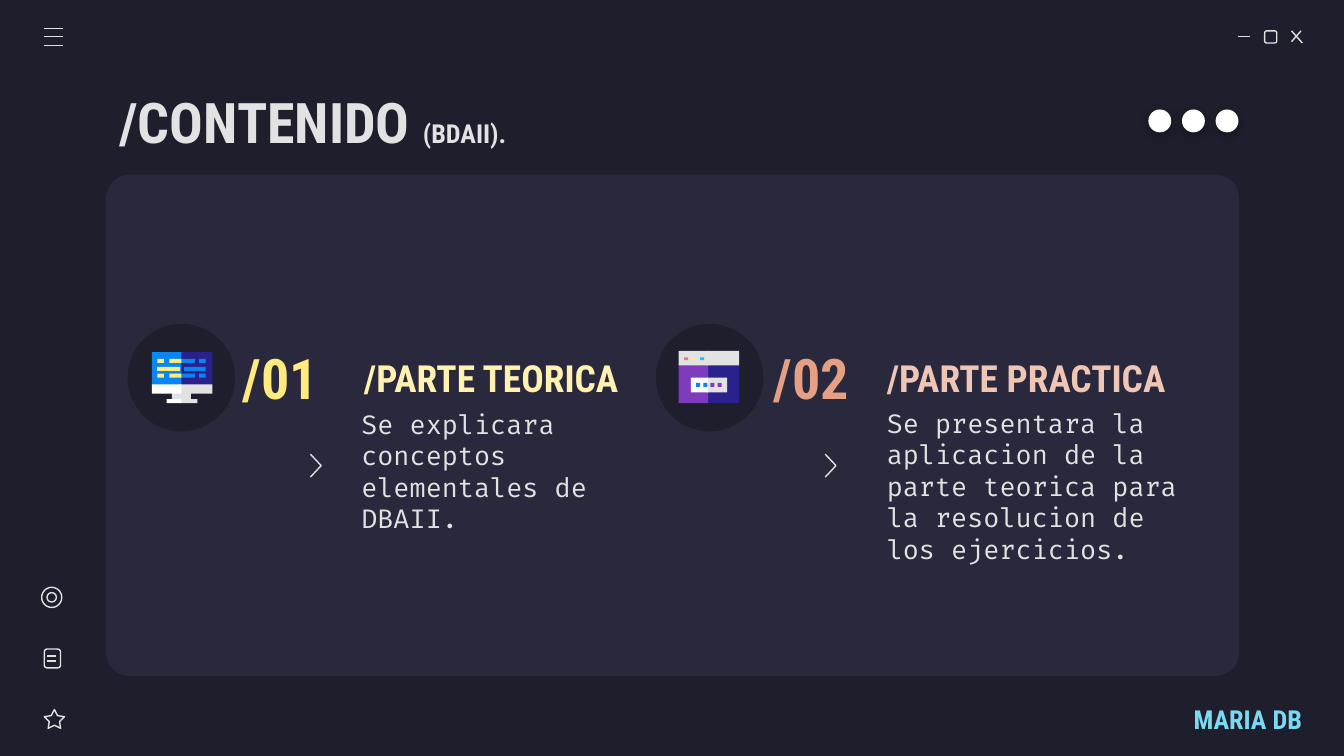
from lxml.etree import SubElement
from pptx import Presentation
from pptx.dml.color import RGBColor
from pptx.enum.shapes import MSO_CONNECTOR, MSO_SHAPE
from pptx.enum.text import MSO_ANCHOR, PP_ALIGN
from pptx.oxml.ns import qn
from pptx.util import Inches, Pt

COLOURS = {
    "night": "1E1E2C", "panel": "29283D", "light": "E2E2E2", "white": "FFFFFF",
    "yellow": "FFEA7D", "cream": "FFF2B1", "orange": "E5A083", "peach": "EFC6B5",
    "cyan": "7CD9F3", "sky": "24BFEB", "blue": "0887F2", "navy": "2B218D",
    "purple": "7E3BBE", "rose": "E07A88", "black": "000000",
}
HEADING, BODY = "Roboto Condensed", "Fira Code"
PANEL = (0.79, 1.3, 8.43, 3.73)
BADGE_TOP, BADGE_SIZE = 2.41, 0.8
HEADING_TOP, HEADING_HEIGHT = 2.53, 0.56
TEXT_WIDTH = 2.56

# Icon parts: left and top from the badge corner, width, height, colour
MONITOR = [
    (0.38, 0.21, 0.25, 0.26, "navy"), (0.18, 0.21, 0.22, 0.26, "blue"),
    (0.33, 0.5, 0.14, 0.08, "light"),
    (0.39, 0.56, 0.13, 0.03, "light"), (0.29, 0.56, 0.11, 0.03, "white"),
    (0.38, 0.45, 0.25, 0.07, "light"), (0.18, 0.45, 0.22, 0.07, "white"),
    (0.42, 0.32, 0.16, 0.03, "blue"), (0.22, 0.32, 0.17, 0.03, "yellow"),
] + [
    (left, top, width, 0.03, colour)
    for top in (0.26, 0.37)
    for left, width, colour in [
        (0.22, 0.05, "yellow"), (0.53, 0.05, "blue"),
        (0.39, 0.11, "blue"), (0.31, 0.09, "yellow"),
    ]
]
BROWSER = [
    (0.38, 0.3, 0.24, 0.29, "navy"), (0.17, 0.3, 0.22, 0.29, "purple"),
    (0.38, 0.2, 0.24, 0.11, "light"), (0.17, 0.2, 0.22, 0.11, "light"),
    (0.38, 0.4, 0.15, 0.11, "light"), (0.26, 0.4, 0.13, 0.11, "white"),
] + [
    (0.21 + 0.06 * step, 0.25, 0.03, 0.02, colour)
    for step, colour in enumerate(["rose", "yellow", "sky"])
] + [
    (0.3 + 0.16 * step / 3, 0.44, 0.03, 0.03, colour)
    for step, colour in enumerate(["blue", "blue", "purple", "purple"])
]

CARDS = [
    {"badge": 0.95, "icon": MONITOR,
     "number": ("/01", 1.63, "yellow"),
     "heading": ("/PARTE TEORICA", 2.61, "cream"),
     "body": ("Se explicara conceptos elementales de DBAII.", 2.59, 3.13),
     "chevron": 2.31},
    {"badge": 4.88, "icon": BROWSER,
     "number": ("/02", 5.58, "orange"),
     "heading": ("/PARTE PRACTICA", 6.5, "peach"),
     "body": ("Se presentara la aplicacion de la parte teorica para la "
              "resolucion de los ejercicios.", 6.5, 3.24),
     "chevron": 6.14},
]

MENU_LINES = [(0.33, top, 0.47, top) for top in (0.21, 0.27, 0.34)]
WINDOW_LINES = [(9.21, 0.27, 9.3, 0.27), (9.61, 0.23, 9.69, 0.32), (9.68, 0.23, 9.61, 0.31)]
NOTE_LINES = [(0.35, top, 0.42, top) for top in (4.88, 4.92)]
OUTLINES = [
    (MSO_SHAPE.ROUNDED_RECTANGLE, (9.41, 0.23, 0.09, 0.09), 0.167),
    (MSO_SHAPE.STAR_5_POINT, (0.33, 5.28, 0.15, 0.14), 0.254),
    (MSO_SHAPE.ROUNDED_RECTANGLE, (0.33, 4.83, 0.12, 0.14), 0.167),
    (MSO_SHAPE.OVAL, (0.31, 4.37, 0.15, 0.15), None),
    (MSO_SHAPE.OVAL, (0.35, 4.41, 0.07, 0.07), None),
]


def colour_of(name):
    return RGBColor.from_string(COLOURS[name])


def paint(shape, fill=None, line=None):
    shape.shadow.inherit = False
    if fill:
        shape.fill.solid()
        shape.fill.fore_color.rgb = colour_of(fill)
    else:
        shape.fill.background()
    if line:
        shape.line.color.rgb = colour_of(line)
        shape.line.width = Pt(0.75)
    else:
        shape.line.fill.background()


def add_shape(page, kind, place, fill=None, line=None, adjustment=None):
    shape = page.shapes.add_shape(kind, *map(Inches, place))
    if adjustment is not None:
        shape.adjustments[0] = adjustment
    paint(shape, fill, line)
    return shape


def add_line(page, ends):
    line = page.shapes.add_connector(MSO_CONNECTOR.STRAIGHT, *map(Inches, ends))
    line.line.color.rgb = colour_of("light")
    line.line.width = Pt(0.75)
    SubElement(line._element.spPr, qn("a:effectLst"))


def add_text(page, place, spans, align=PP_ALIGN.LEFT, margin_right=0.1):
    """Add a one-paragraph box; each span is (text, font, size, colour)."""
    frame = page.shapes.add_textbox(*map(Inches, place)).text_frame
    layout = {"word_wrap": True, "vertical_anchor": MSO_ANCHOR.MIDDLE,
              "margin_left": Inches(0.1), "margin_top": Inches(0.1),
              "margin_right": Inches(margin_right), "margin_bottom": Inches(0.1)}
    for name, value in layout.items():
        setattr(frame, name, value)
    para = frame.paragraphs[0]
    para.alignment = align
    for text, font, size, colour in spans:
        span = para.add_run()
        span.text = text
        for name, value in {"name": font, "size": Pt(size), "bold": font == HEADING}.items():
            setattr(span.font, name, value)
        span.font.color.rgb = colour_of(colour)


def add_chevron(page, left, top=3.38, width=0.08, height=0.17):
    points = [(left, top), (left + width, top + height / 2), (left, top + height)]
    start, *others = [(Inches(x), Inches(y)) for x, y in points]
    builder = page.shapes.build_freeform(*start)
    builder.add_line_segments(others, close=False)
    paint(builder.convert_to_shape(), line="light")


def add_dot(page, left):
    """Add a white dot with a soft shadow below it."""
    dot = add_shape(page, MSO_SHAPE.OVAL, (left, 0.82, 0.16, 0.16), "white", "white")
    effects = dot._element.spPr.find(qn("a:effectLst"))
    shadow = SubElement(effects, qn("a:outerShdw"), blurRad=str(Pt(4.5)),
                        dist=str(Pt(1.5)), dir="5400000", algn="bl", rotWithShape="0")
    shade = SubElement(shadow, qn("a:srgbClr"), val=COLOURS["black"])
    SubElement(shade, qn("a:alpha"), val="30000")


def add_card(page, card):
    number, number_left, number_colour = card["number"]
    heading, heading_left, heading_colour = card["heading"]
    body, body_left, body_top = card["body"]
    add_text(page, (heading_left, HEADING_TOP, TEXT_WIDTH, HEADING_HEIGHT),
             [(heading, HEADING, 20, heading_colour)])
    add_text(page, (number_left, HEADING_TOP, 0.91, HEADING_HEIGHT),
             [(number, HEADING, 30, number_colour)], PP_ALIGN.CENTER)
    add_text(page, (body_left, body_top, TEXT_WIDTH, 0.75), [(body, BODY, 14, "light")])
    add_chevron(page, card["chevron"])
    add_shape(page, MSO_SHAPE.OVAL, (card["badge"], BADGE_TOP, BADGE_SIZE, BADGE_SIZE), "night")
    for left, top, width, height, colour in card["icon"]:
        add_shape(page, MSO_SHAPE.RECTANGLE,
                  (card["badge"] + left, BADGE_TOP + top, width, height), colour)


def main():
    deck = Presentation()
    deck.slide_width = Inches(10)
    deck.slide_height = deck.slide_width * 9 // 16
    page = deck.slides.add_slide(deck.slide_layouts[6])
    page.background.fill.solid()
    page.background.fill.fore_color.rgb = colour_of("night")

    add_shape(page, MSO_SHAPE.ROUNDED_RECTANGLE, PANEL, "panel", adjustment=0.047)
    add_text(page, (PANEL[0], 0.59, PANEL[2], 0.63),
             [("/CONTENIDO ", HEADING, 30, "light"), ("(BDAII).", HEADING, 14, "light")])
    for kind, place, adjustment in OUTLINES:
        add_shape(page, kind, place, line="light", adjustment=adjustment)
    for ends in MENU_LINES + WINDOW_LINES + NOTE_LINES:
        add_line(page, ends)
    for step in range(3):
        add_dot(page, 8.55 + 0.25 * step)
    for card in CARDS:
        add_card(page, card)
    add_text(page, (8.52, 5.2, 1.17, 0.3), [("MARIA DB", HEADING, 14, "cyan")],
             PP_ALIGN.RIGHT, margin_right=0)
    deck.save("out.pptx")


if __name__ == "__main__":
    main()
